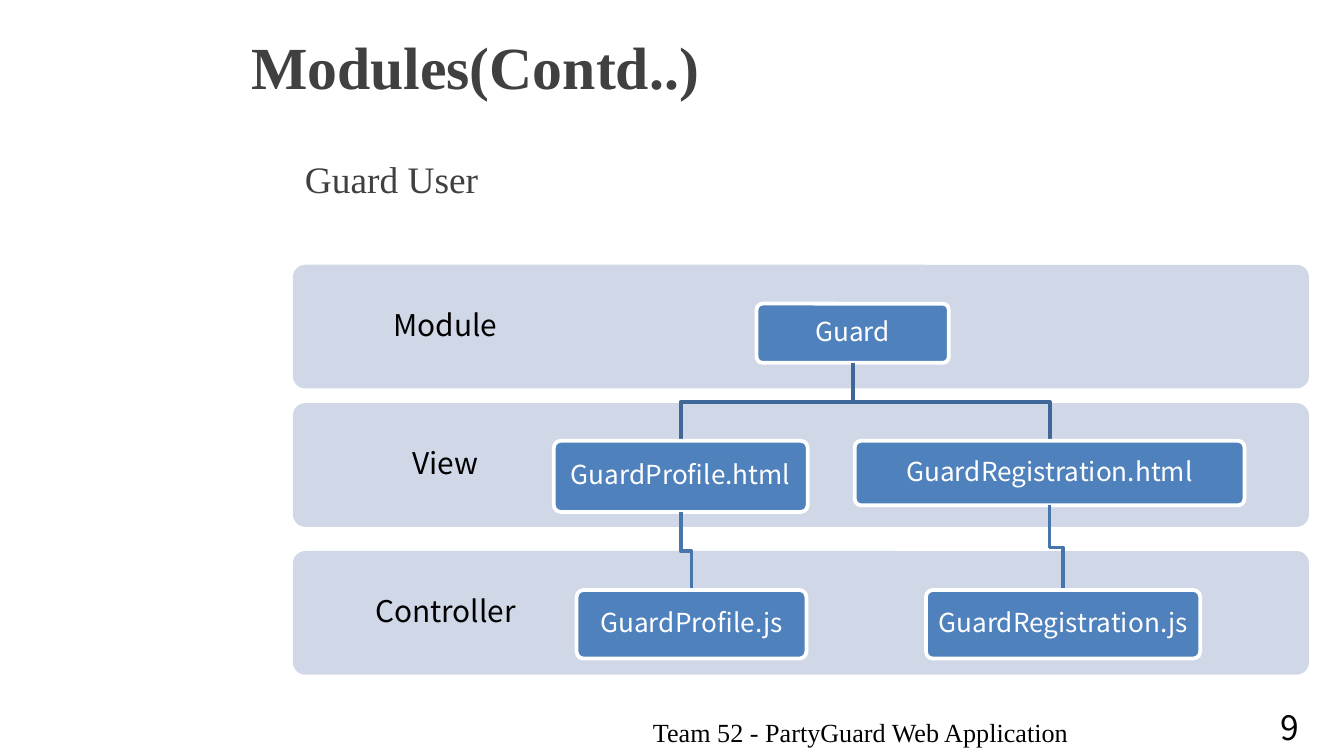
from pptx import Presentation
from pptx.dml.color import RGBColor
from pptx.enum.shapes import MSO_SHAPE as SHAPE
from pptx.enum.text import MSO_ANCHOR as ANCHOR, PP_ALIGN as ALIGN
from pptx.util import Inches, Pt

C = {"heading": "404040", "text": "000000", "band": "D0D8E8", "box": "4F81BD",
     "white": "FFFFFF", "view_line": "3F6797", "controller_line": "4875AC"}
SERIF, SANS = "Times New Roman", "Noto Sans CJK KR"


def put_text(sp, text, size, color, font=SANS, bold=False, align=ALIGN.LEFT,
             anchor=ANCHOR.MIDDLE, inset=None, wrap=True, spacing=None):
    tf = sp.text_frame
    tf.word_wrap = wrap
    tf.vertical_anchor = anchor
    if inset is not None:
        tf.margin_left = tf.margin_right = Inches(inset)
        tf.margin_top = tf.margin_bottom = Inches(inset)
    p = tf.paragraphs[0]
    p.alignment = align
    p.line_spacing = spacing
    r = p.add_run()
    r.text = text
    r.font.name, r.font.size, r.font.bold = font, Pt(size), bold
    r.font.color.rgb = RGBColor.from_string(C[color])


def rounded(x, y, w, h, fill):
    sp = s.shapes.add_shape(SHAPE.ROUNDED_RECTANGLE, Inches(x), Inches(y), Inches(w), Inches(h))
    sp.adjustments[0] = 0.1
    sp.shadow.inherit = False
    sp.fill.solid()
    sp.fill.fore_color.rgb = RGBColor.from_string(C[fill])
    sp.line.fill.background()
    return sp


prs = Presentation()
prs.slide_width, prs.slide_height = Inches(10), Inches(10 * 9 / 16)
s = prs.slides.add_slide(prs.slide_layouts[6])

for text, x, y, w, h, fmt in [
    ("Modules(Contd..)", 1.77, 0, 8.23, 0.97, dict(size=32, color="heading", font=SERIF, bold=True)),
    ("Guard User", 2.17, 1.08, 7.56, 0.5, dict(size=20, color="heading", font=SERIF)),
    ("Team 52 - PartyGuard Web Application", 4.76, 5.28, 3.32, 0.34,
     dict(size=14, color="text", font=SERIF, anchor=ANCHOR.TOP, wrap=False)),
    ("9", 9.43, 5.21, 0.34, 0.4, dict(size=18, color="text", anchor=ANCHOR.TOP, wrap=False)),
]:
    tb = s.shapes.add_textbox(Inches(x), Inches(y), Inches(w), Inches(h))
    put_text(tb, text, **fmt)

for label, y in [("Controller", 4.1), ("View", 3), ("Module", 1.97)]:
    rounded(2.18, y, 7.56, 0.92, "band")
    tb = s.shapes.add_textbox(Inches(2.18), Inches(y), Inches(2.27), Inches(0.92))
    put_text(tb, label, 16, "text", align=ALIGN.CENTER, inset=0.12, spacing=0.9)

bottoms = {}
for text, x, y, w, h, parent, line in [
    ("Guard", 5.63, 2.26, 1.43, 0.44, None, None),
    ("GuardProfile.html", 4.12, 3.28, 1.89, 0.53, "Guard", "view_line"),
    ("GuardProfile.js", 4.29, 4.39, 1.71, 0.51, "GuardProfile.html", "controller_line"),
    ("GuardRegistration.html", 6.36, 3.28, 2.9, 0.48, "Guard", "view_line"),
    ("GuardRegistration.js", 6.89, 4.39, 2.04, 0.51, "GuardRegistration.html", "controller_line"),
]:
    center = x + w / 2
    bottoms[text] = center, y + h
    if parent:
        px, py = bottoms[parent]
        middle = (py + y) / 2
        fb = s.shapes.build_freeform(Inches(px), Inches(py))
        fb.add_line_segments([(Inches(a), Inches(b)) for a, b in
                              [(px, middle), (center, middle), (center, y)]], close=False)
        elbow = fb.convert_to_shape()
        elbow.shadow.inherit = False
        elbow.fill.background()
        elbow.line.color.rgb = RGBColor.from_string(C[line])
        elbow.line.width = Pt(2)
    box = rounded(x, y, w, h, "box")
    box.line.color.rgb = RGBColor.from_string(C["white"])
    box.line.width = Pt(2)
    put_text(box, text, 14, "white", align=ALIGN.CENTER, inset=0.06, spacing=0.9)

prs.save("out.pptx")
